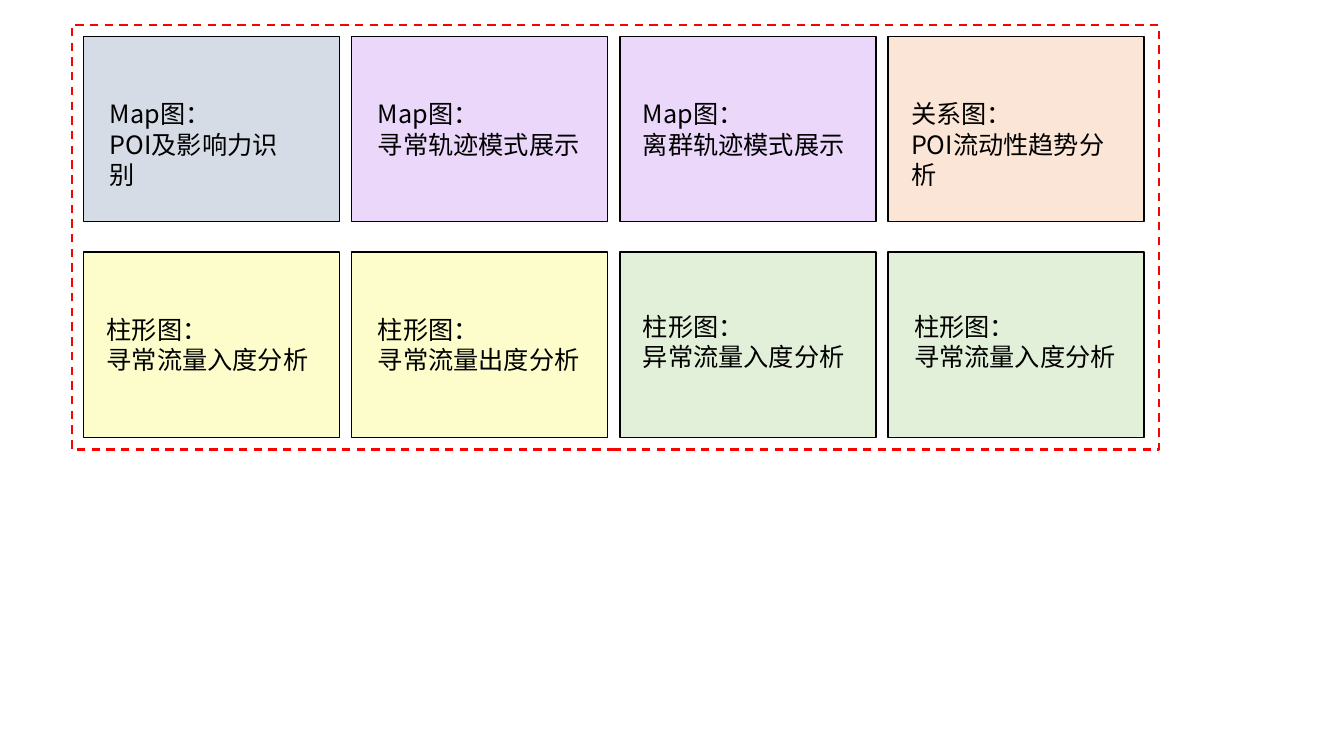
"""Build a slide with a dashed frame around a two-by-four grid of chart panels."""
from pptx import Presentation
from pptx.dml.color import RGBColor
from pptx.enum.dml import MSO_LINE
from pptx.enum.shapes import MSO_SHAPE
from pptx.enum.text import MSO_AUTO_SIZE
from pptx.oxml.ns import qn
from pptx.util import Pt

RECTANGLE = MSO_SHAPE.RECTANGLE
DASH = MSO_LINE.DASH
GROW = MSO_AUTO_SIZE.SHAPE_TO_FIT_TEXT

PANEL_LEFT, PANEL_TOP = 59.76, 25.92
PANEL_WIDTH, PANEL_HEIGHT = 182.88, 132.48
COLUMN_STEP, ROW_STEP = 191.52, 154.08

BLUE, PURPLE, ORANGE = "D6DCE5", "EAD7F9", "FBE5D6"
YELLOW, GREEN = "FCFDCB", "E2F0D9"

PANEL_ROWS = [
    [
        (BLUE, "Map图：\nPOI及影响力识别", 71.28, 66.96, 151.92),
        (PURPLE, "Map图：\n寻常轨迹模式展示", 262.8, 66.96, 159.84),
        (PURPLE, "Map图：\n离群轨迹模式展示", 452.16, 66.96, 159.84),
        (ORANGE, "关系图：\nPOI流动性趋势分析", 643.68, 66.96, 169.92),
    ],
    [
        (YELLOW, "柱形图：\n寻常流量入度分析", 69.12, 221.04, 164.16),
        (YELLOW, "柱形图：\n寻常流量出度分析", 262.8, 221.04, 159.84),
        (GREEN, "柱形图：\n异常流量入度分析", 452.16, 218.88, 159.84),
        (GREEN, "柱形图：\n寻常流量入度分析", 645.84, 218.88, 159.84),
    ],
]


def color(value):
    return RGBColor.from_string(value)


class SlideBuilder:
    font_name = "Noto Sans CJK SC"
    font_size = 18
    ink = "000000"
    label_height = 51.12

    def __init__(self, slide):
        self.slide = slide

    def rectangle(self, left, top, width, height, line, line_width, fill=None, dash=None):
        shape = self.slide.shapes.add_shape(
            RECTANGLE, Pt(left), Pt(top), Pt(width), Pt(height))
        shape.shadow.inherit = False
        if fill:
            shape.fill.solid()
            shape.fill.fore_color.rgb = color(fill)
        else:
            shape.fill.background()
        shape.line.color.rgb = color(line)
        shape.line.width = Pt(line_width)
        if dash:
            shape.line.dash_style = dash

    def label(self, text, left, top, width):
        text_box = self.slide.shapes.add_textbox(
            Pt(left), Pt(top), Pt(width), Pt(self.label_height))
        text_frame = text_box.text_frame
        text_frame.word_wrap = True
        text_frame.auto_size = GROW
        text_frame.text = text
        for paragraph in text_frame.paragraphs:
            for run in paragraph.runs:
                run.font.name = self.font_name
                run.font.size = Pt(self.font_size)
                run.font.color.rgb = color(self.ink)
                east_asian = run.font._element.makeelement(
                    qn("a:ea"), {"typeface": self.font_name})
                run.font._element.append(east_asian)


def main():
    presentation = Presentation()
    presentation.slide_width, presentation.slide_height = Pt(960), Pt(540)
    slide = presentation.slides.add_slide(presentation.slide_layouts[6])
    builder = SlideBuilder(slide)

    builder.rectangle(51.12, 18, 776.88, 303.12, "FF0000", 1.5, dash=DASH)
    for row, panels in enumerate(PANEL_ROWS):
        for column, (fill, text, left, top, width) in enumerate(panels):
            builder.rectangle(
                PANEL_LEFT + column * COLUMN_STEP, PANEL_TOP + row * ROW_STEP,
                PANEL_WIDTH, PANEL_HEIGHT, builder.ink, 1, fill)
            builder.label(text, left, top, width)

    presentation.save("out.pptx")


if __name__ == "__main__":
    main()
